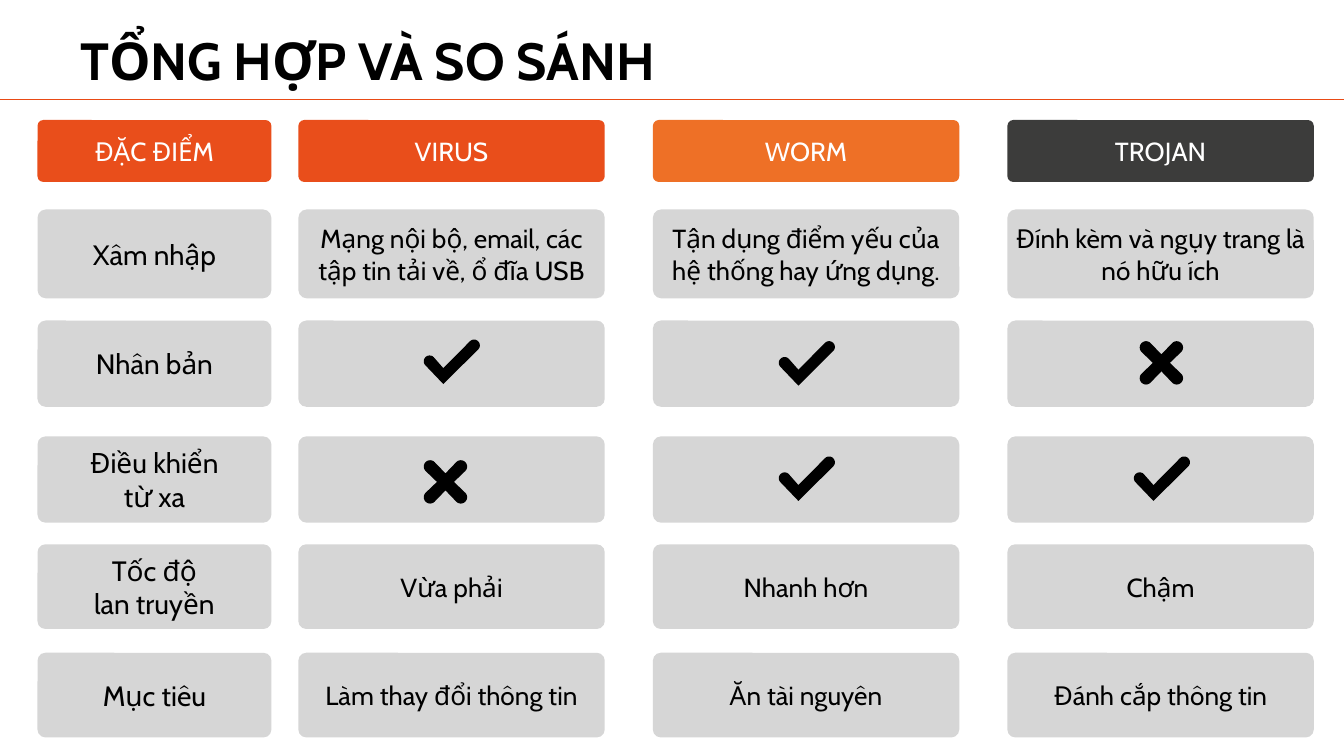
from math import cos, radians, sin

from lxml import etree
from pptx import Presentation
from pptx.dml.color import RGBColor
from pptx.enum.shapes import MSO_CONNECTOR, MSO_SHAPE
from pptx.enum.text import MSO_ANCHOR, PP_ALIGN
from pptx.oxml.ns import qn
from pptx.util import Cm, Pt

ROUNDED = MSO_SHAPE.ROUNDED_RECTANGLE
STRAIGHT = MSO_CONNECTOR.STRAIGHT
MIDDLE = MSO_ANCHOR.MIDDLE
CENTER = PP_ALIGN.CENTER
FONT = "Cabin"


def color(hex_string):
    return RGBColor.from_string(hex_string)


def arc(x, y, radius, start):
    """Points of a half circle around (x, y), clockwise from the start angle."""
    angles = [radians(start + step) for step in range(0, 181, 15)]
    return [(x + radius * cos(a), y + radius * sin(a)) for a in angles]


deck = Presentation()
deck.slide_width, deck.slide_height = Cm(25.4), Cm(14.29)
page = deck.slides.add_slide(deck.slide_layouts[6])

# Title and rule
rule = page.shapes.add_connector(STRAIGHT, Cm(-0.03), Cm(1.88), Cm(25.63), Cm(1.88))
rule.line.color.rgb = color("E94A15")
rule.line.width = Pt(0.75)
etree.SubElement(rule._element.spPr, qn("a:effectLst"))

title = page.shapes.add_textbox(Cm(1.27), Cm(0.28), Cm(22.86), Cm(1.6))
frame = title.text_frame
frame.word_wrap = True
frame.margin_left = frame.margin_right = Cm(0.25)
frame.margin_top = frame.margin_bottom = Cm(0.25)
frame.text = "TỔNG HỢP VÀ SO SÁNH"
font = frame.paragraphs[0].runs[0].font
font.name, font.size, font.bold = FONT, Pt(28), True
font.color.rgb = color("000000")

# Comparison grid: left and width of columns; top, height and texts of rows
columns = [(0.71, 4.42)] + [(5.64 + 6.7 * i, 5.79) for i in range(3)]
header_fills = ["E94E1B", "E94E1B", "EE7026", "3C3C3B"]
rows = [
    (2.27, 1.17, ["ĐẶC ĐIỂM", "VIRUS", "WORM", "TROJAN"]),
    (3.96, 1.68, ["Xâm nhập",
                  "Mạng nội bộ, email, các tập tin tải về, ổ đĩa USB",
                  "Tận dụng điểm yếu của hệ thống hay ứng dụng.",
                  "Đính kèm và ngụy trang là nó hữu ích"]),
    (6.06, 1.63, ["Nhân bản", "", "", ""]),
    (8.25, 1.63, ["Điều khiển\ntừ xa", "", "", ""]),
    (10.29, 1.6, ["Tốc độ\nlan truyền", "Vừa phải", "Nhanh hơn", "Chậm"]),
    (12.34, 1.6, ["Mục tiêu", "Làm thay đổi thông tin", "Ăn tài nguyên",
                  "Đánh cắp thông tin"]),
]
for row, (top, height, texts) in enumerate(rows):
    for column, ((left, width), text) in enumerate(zip(columns, texts)):
        header = row == 0
        box = page.shapes.add_shape(ROUNDED, Cm(left), Cm(top), Cm(width), Cm(height))
        box.adjustments[0] = 0.093
        box.shadow.inherit = False
        box.fill.solid()
        box.fill.fore_color.rgb = color(header_fills[column] if header else "D6D6D6")
        box.line.fill.background()
        if not text:
            continue
        frame = box.text_frame
        frame.word_wrap = True
        frame.vertical_anchor = MIDDLE
        frame.margin_left = frame.margin_right = Cm(0.1)
        frame.margin_top = frame.margin_bottom = Cm(0.05)
        frame.text = text
        for para in frame.paragraphs:
            para.alignment = CENTER
            for span in para.runs:
                span.font.name = FONT
                span.font.size = Pt(15 if column == 0 and not header else 14)
                span.font.color.rgb = color("FFFFFF" if header else "000000")

# Yes and no marks, outlined around their own centre
check = [(-0.15, 0.43), *arc(-0.41, 0, 0.11, 135), (-0.15, 0.13),
         *arc(0.43, -0.3, 0.11, 225)]
cross = []
for angle in range(45, 360, 90):
    arm, notch = radians(angle), radians(angle + 45)
    cross += arc(0.41 * cos(arm), 0.41 * sin(arm), 0.12, angle - 90)
    cross.append((0.16 * cos(notch), 0.16 * sin(notch)))

marks = [
    (check, 8.53, 6.83), (check, 15.24, 6.86), (cross, 21.95, 6.86),
    (cross, 8.42, 9.11), (check, 15.24, 9.04), (check, 21.95, 9.04),
]
for outline, center_x, center_y in marks:
    points = [(Cm(center_x + x), Cm(center_y + y)) for x, y in outline]
    builder = page.shapes.build_freeform(*points[0])
    builder.add_line_segments(points[1:], close=True)
    mark = builder.convert_to_shape()
    mark.shadow.inherit = False
    mark.fill.solid()
    mark.fill.fore_color.rgb = color("000000")
    mark.line.fill.background()

deck.save("out.pptx")
